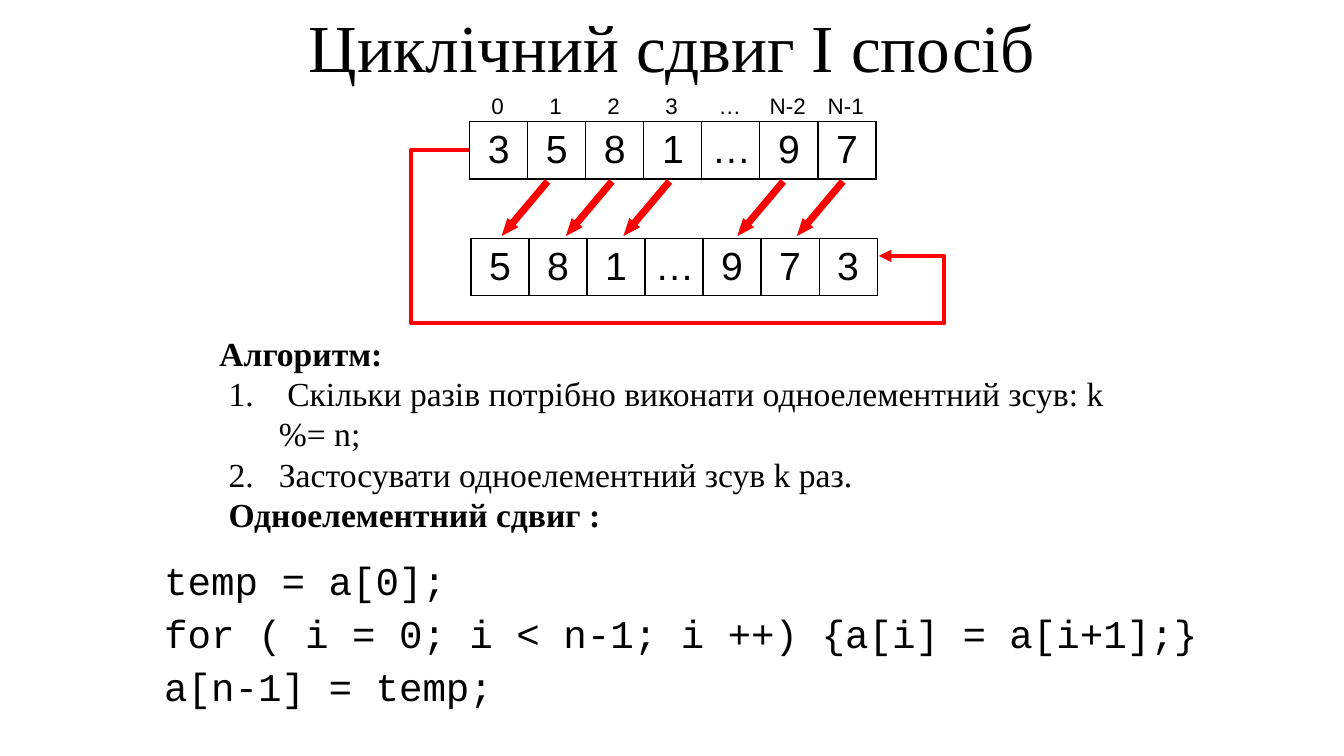
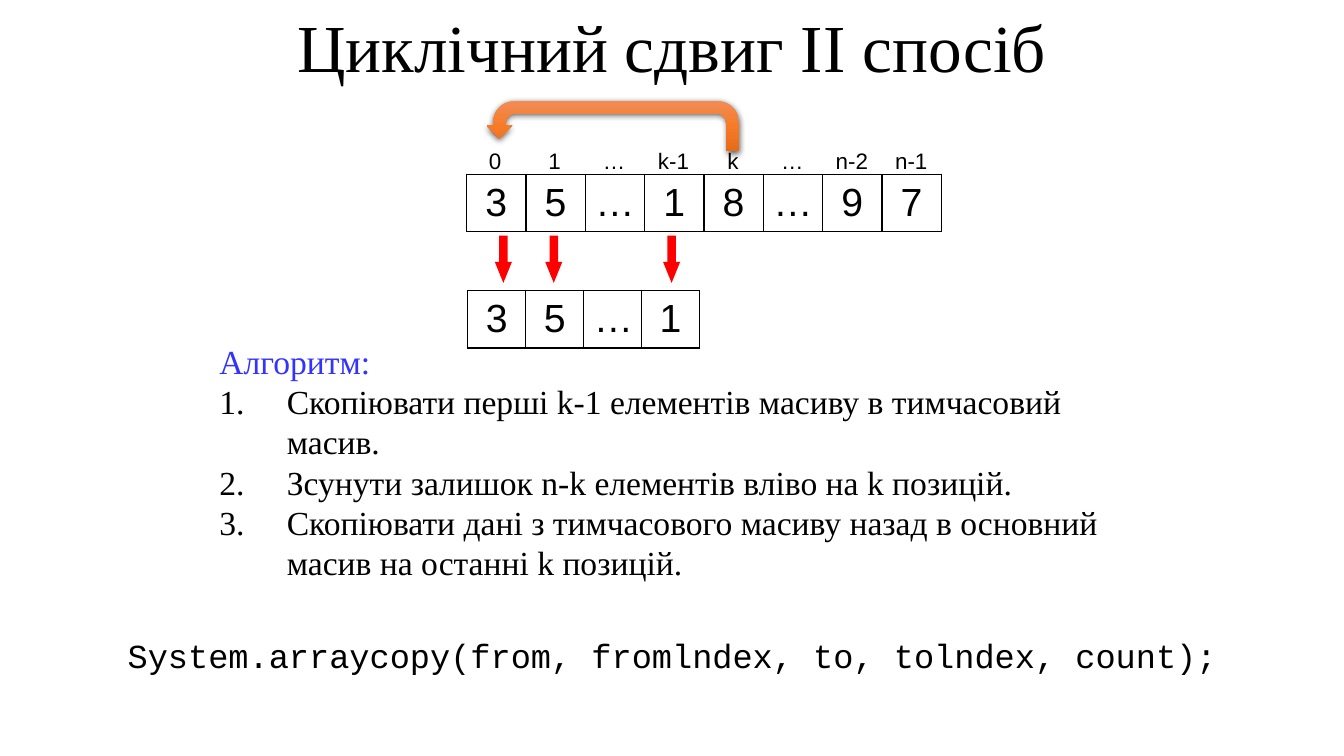
from lxml import etree
from pptx import Presentation
from pptx.dml.color import RGBColor
from pptx.enum.shapes import MSO_SHAPE
from pptx.enum.text import MSO_ANCHOR, PP_ALIGN
from pptx.oxml.ns import qn
from pptx.util import Cm, Pt

LEFT, CENTER = PP_ALIGN.LEFT, PP_ALIGN.CENTER
MIDDLE = MSO_ANCHOR.MIDDLE
RIGHT_ARROW, UTURN_ARROW = MSO_SHAPE.RIGHT_ARROW, MSO_SHAPE.U_TURN_ARROW
COLORS = {"text": "000000", "heading": "3333FF", "arrow": "FF0000",
          "turn_top": "F18C57", "turn_mid": "F67B28", "turn_bottom": "E56C19"}
SERIF, SANS, MONO = "Times New Roman", "Arial", "Courier New"
WIDTH, HEIGHT = 33.87, 19.05
ROW_H, LABEL_H = 1.45, 0.94


def rgb(name):
    """Return the named colour."""
    return RGBColor.from_string(COLORS[name])


def add_xml(parent, tag, **attrs):
    """Append a DrawingML element and return it."""
    return etree.SubElement(parent, qn(f"a:{tag}"), attrs)


class Deck:
    """The shared style and the slide being built."""

    def __init__(self):
        """Start an empty presentation."""
        self.prs = Presentation()
        self.prs.slide_width, self.prs.slide_height = Cm(WIDTH), Cm(HEIGHT)
        self.s = None

    def slide(self, title):
        """Add a blank slide with a centred title."""
        self.s = self.prs.slides.add_slide(self.prs.slide_layouts[6])
        self.text(0, 0, WIDTH, 2.31, [title], SERIF, 48, CENTER)

    def style(self, p, font, size, color="text", bold=False, align=LEFT):
        """Format a paragraph and its runs."""
        p.alignment = align
        for r in p.runs:
            r.font.name, r.font.size, r.font.bold = font, Pt(size), bold
            r.font.color.rgb = rgb(color)

    def text(self, x, y, w, h, lines, font, size, align=LEFT, gap=0):
        """Add a text box with one paragraph per line."""
        tf = self.s.shapes.add_textbox(Cm(x), Cm(y), Cm(w), Cm(h)).text_frame
        tf.word_wrap = True
        tf.text = "\n".join(lines)
        for i, p in enumerate(tf.paragraphs):
            self.style(p, font, size, align=align)
            p.space_before = Pt(gap if i else 0)
        return tf

    def algorithm(self, y, h, steps, indent, hanging, color="text", bold=False):
        """Add the algorithm heading and its numbered steps."""
        tf = self.text(5.28, y, 23.39, h, ["Алгоритм:", *steps], SERIF, 24)
        heading, *numbered = tf.paragraphs
        self.style(heading, SERIF, 24, color, bold)
        for p in numbered:
            pPr = p._p.get_or_add_pPr()
            pPr.set("marL", str(Cm(indent)))
            pPr.set("indent", str(-Cm(hanging)))
            add_xml(pPr, "buFont", typeface="+mj-lt")
            add_xml(pPr, "buAutoNum", type="arabicPeriod")
        return tf

    def row(self, x, y, w, h, values, size, bordered):
        """Add a one-row table of equal cells."""
        frame = self.s.shapes.add_table(1, len(values), Cm(x), Cm(y), Cm(w), Cm(h))
        table = frame.table
        table.first_row = table.horz_banding = False
        for cell, value in zip(table.rows[0].cells, values):
            cell.text = value
            cell.vertical_anchor = MIDDLE
            self.style(cell.text_frame.paragraphs[0], SANS, size, align=CENTER)
            self.borders(cell, bordered)
            cell.fill.background()

    def borders(self, cell, visible):
        """Give a cell four thin borders or none."""
        tcPr = cell._tc.get_or_add_tcPr()
        for side in "LRTB":
            ln = add_xml(tcPr, f"ln{side}", w=str(Pt(1)))
            if visible:
                add_xml(add_xml(ln, "solidFill"), "srgbClr", val=COLORS["text"])
            else:
                add_xml(ln, "noFill")

    def array(self, x, y, w, values):
        """Add the bordered cells of an array."""
        self.row(x, y, w, ROW_H, values, 28, True)

    def indices(self, x, y, w, values):
        """Add the index labels above an array."""
        self.row(x, y, w, LABEL_H, values, 16, False)

    def arrows(self, lefts, y, w, h, angle):
        """Add a row of red block arrows turned by an angle."""
        for x in lefts:
            sp = self.s.shapes.add_shape(RIGHT_ARROW, Cm(x), Cm(y), Cm(w), Cm(h))
            sp.adjustments[1] = 1.23
            sp.rotation = angle
            sp.shadow.inherit = False
            sp.fill.solid()
            sp.fill.fore_color.rgb = rgb("arrow")
            sp.line.fill.background()

    def loop(self, points):
        """Add an open red path that ends in an arrowhead."""
        start, *rest = [(Cm(x), Cm(y)) for x, y in points]
        builder = self.s.shapes.build_freeform(*start)
        builder.add_line_segments(rest, close=False)
        sp = builder.convert_to_shape()
        sp.shadow.inherit = False
        sp.fill.background()
        sp.line.color.rgb, sp.line.width = rgb("arrow"), Pt(3)
        add_xml(sp.line._get_or_add_ln(), "tailEnd", type="triangle")

    def uturn(self, x, y, w, h):
        """Add a shaded U-turn arrow that points left and down."""
        sp = self.s.shapes.add_shape(UTURN_ARROW, Cm(x), Cm(y), Cm(w), Cm(h))
        sp.line.fill.background()
        sp.shadow.inherit = False
        sp.fill.background()
        spPr = sp._element.spPr
        spPr.find(qn("a:xfrm")).set("flipH", "1")
        grad = etree.Element(qn("a:gradFill"), rotWithShape="1")
        stops = add_xml(grad, "gsLst")
        for i, name in enumerate(("turn_top", "turn_mid", "turn_bottom")):
            stop = add_xml(stops, "gs", pos=str(i * 50000))
            add_xml(stop, "srgbClr", val=COLORS[name])
        add_xml(grad, "lin", ang="5400000", scaled="0")
        spPr.replace(spPr.find(qn("a:noFill")), grad)
        shadow = add_xml(spPr.find(qn("a:effectLst")), "outerShdw", blurRad=str(Pt(4.5)),
                         dist=str(Pt(1.5)), dir="5400000", rotWithShape="0")
        add_xml(add_xml(shadow, "srgbClr", val=COLORS["text"]), "alpha", val="63000")


def first_method(deck):
    """Build the slide on repeated one-element shifts."""
    deck.slide("Циклічний сдвиг I спосіб")
    tf = deck.algorithm(8.26, 5.38, [
        " Скільки разів потрібно виконати одноелементний зсув: k %= n; ",
        "Застосувати одноелементний зсув k раз.",
    ], 1.5, 1.27, bold=True)
    p = tf.add_paragraph()
    p.text = "Одноелементний сдвиг :"
    deck.style(p, SERIF, 24, bold=True)
    p._p.get_or_add_pPr().set("marL", str(Cm(0.23)))
    deck.array(11.84, 3.06, 10.24, ["3", "5", "8", "1", "…", "9", "7"])
    deck.indices(11.81, 2.21, 10.24, ["0", "1", "2", "3", "…", "N-2", "N-1"])
    deck.array(11.87, 6, 10.24, ["5", "8", "1", "…", "9", "7", "3"])
    deck.arrows([12.32, 13.94, 15.39, 18.26, 19.76], 5.08, 1.8, 0.36, 130.1)
    deck.loop([(11.81, 3.78), (10.36, 3.78), (10.36, 8.14),
               (23.8, 8.14), (23.8, 6.45), (22.15, 6.45)])
    deck.text(3.89, 13.89, 27.13, 4.22, [
        "temp = a[0];",
        "for ( i = 0; i < n-1; i ++) {a[i] = a[i+1];}",
        "a[n-1] = temp;",
    ], MONO, 28, gap=4.2)


def second_method(deck):
    """Build the slide on shifting through a temporary array."""
    deck.slide("Циклічний сдвиг II спосіб")
    deck.algorithm(8.46, 6.4, [
        "Скопіювати перші k-1 елементів масиву в тимчасовий масив.",
        "Зсунути залишок n-k елементів вліво на k позицій.",
        "Скопіювати дані з тимчасового масиву назад в основний масив "
        "на останні k позицій.",
    ], 1.7, 1.7, color="heading")
    deck.array(11.76, 4.39, 11.96, ["3", "5", "…", "1", "8", "…", "9", "7"])
    deck.indices(11.73, 3.61, 11.99, ["0", "1", "…", "k-1", "k", "…", "n-2", "n-1"])
    deck.array(11.79, 7.32, 5.84, ["3", "5", "…", "1"])
    deck.arrows([12.09, 13.36, 16.33], 6.32, 1.19, 0.43, 90)
    deck.uturn(12.27, 2.54, 6.35, 1.27)
    deck.text(0, 15.88, WIDTH, 1.27,
              ["System.arraycopy(from, fromlndex, to, tolndex, count);"],
              MONO, 24, CENTER)


deck = Deck()
first_method(deck)
second_method(deck)
deck.prs.save("out.pptx")
